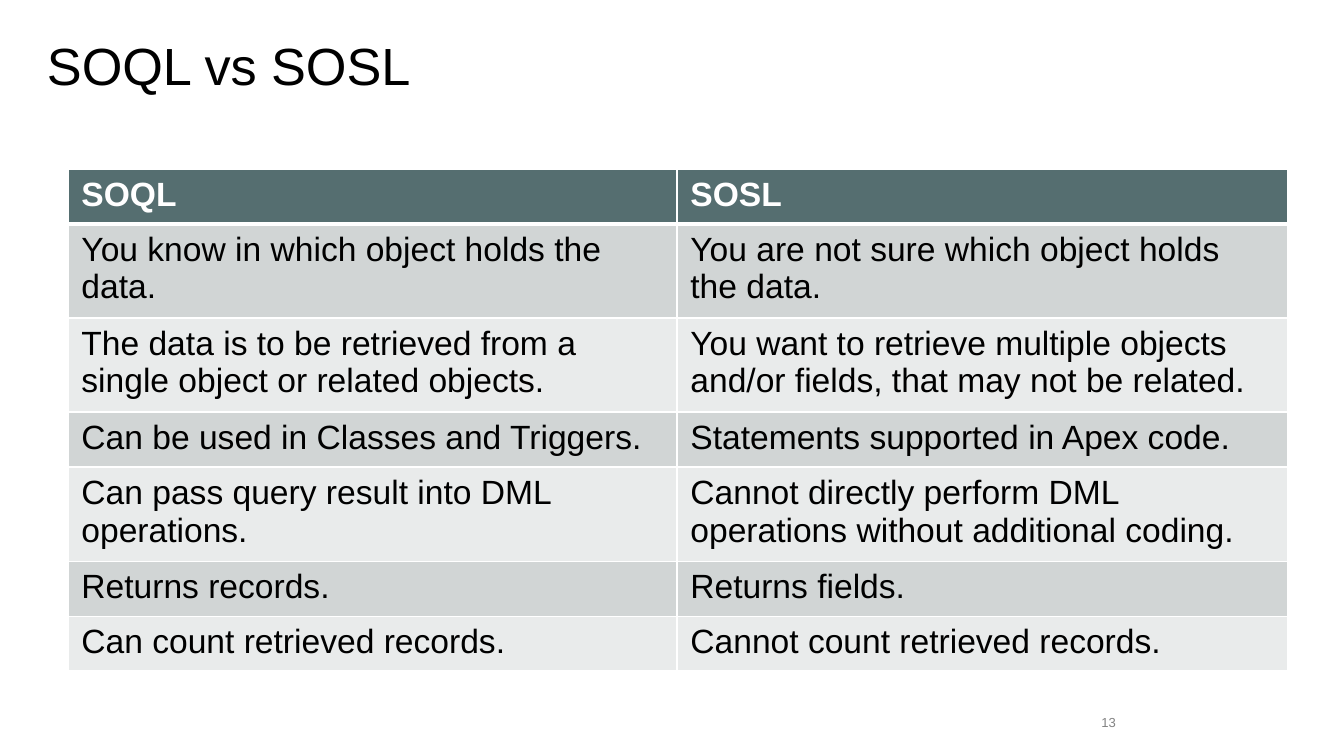
import pptx
import pptx.util
import pptx.dml.color
import pptx.enum.text
import pptx.oxml.ns
from dataclasses import dataclass
from lxml import etree

ANCHOR = pptx.enum.text.MSO_ANCHOR
ALIGN = pptx.enum.text.PP_ALIGN
SCALE = 914400 / 134.4  # EMU per px


def px(n):
    return pptx.util.Emu(round(n * SCALE))


@dataclass(frozen=True)
class Theme:
    font: str = "Arial"
    text: str = "000000"
    muted: str = "838383"
    white: str = "FFFFFF"
    header: str = "556E70"
    bands: tuple = ("D1D5D5", "E9EBEB")
    title_size: int = 28
    title_leading: int = 29
    body_size: int = 18
    number_size: int = 7
    rule: int = 1
    header_rule: int = 3


class Deck:
    def __init__(self, theme, width, height):
        self.theme = theme
        self.prs = pptx.Presentation()
        self.prs.slide_width, self.prs.slide_height = px(width), px(height)
        self.slide = self.prs.slides.add_slide(self.prs.slide_layouts[6])

    def style(self, p, size, color, bold=False):
        for r in p.runs:
            r.font.name = self.theme.font
            r.font.size = pptx.util.Pt(size)
            r.font.bold = bold
            r.font.color.rgb = pptx.dml.color.RGBColor.from_string(color)

    def text(self, text, box, size, color, inset=None, leading=None,
             anchor=ANCHOR.TOP, align=ALIGN.LEFT):
        tf = self.slide.shapes.add_textbox(*map(px, box)).text_frame
        tf.word_wrap = True
        tf.vertical_anchor = anchor
        if inset is not None:
            tf.margin_left = tf.margin_right = px(inset)
            tf.margin_top = tf.margin_bottom = px(inset)
        tf.text = text
        p = tf.paragraphs[0]
        p.alignment = align
        if leading:
            p.line_spacing = pptx.util.Pt(leading)
        self.style(p, size, color)

    def border(self, cell, side, width):
        pr = cell._tc.get_or_add_tcPr()
        ns = pptx.oxml.ns.qn
        line = etree.Element(ns("a:ln" + side), w=str(pptx.util.Pt(width)))
        fill = etree.SubElement(line, ns("a:solidFill"))
        etree.SubElement(fill, ns("a:srgbClr"), val=self.theme.white)
        # Borders come before the fill, in the order L, R, T, B
        pr.insert("LRTB".index(side), line)

    def cell(self, cell, text, row):
        t = self.theme
        head = row == 0
        cell.text = text
        self.style(cell.text_frame.paragraphs[0], t.body_size,
                   t.white if head else t.text, bold=head)
        cell.fill.solid()
        color = t.header if head else t.bands[(row - 1) % 2]
        cell.fill.fore_color.rgb = pptx.dml.color.RGBColor.from_string(color)
        heavy = {(0, "B"), (1, "T")}
        for side in "LRTB":
            self.border(cell, side, t.header_rule if (row, side) in heavy else t.rule)

    def table(self, rows, left, top, widths, row_height):
        frame = self.slide.shapes.add_table(
            len(rows), len(widths), px(left), px(top),
            px(sum(widths)), px(row_height * len(rows)))
        table = frame.table
        for col, width in zip(table.columns, widths):
            col.width = px(width)
        for i, row in enumerate(rows):
            table.rows[i].height = px(row_height)
            for j, text in enumerate(row):
                self.cell(table.cell(i, j), text, i)


ROWS = [
    ("SOQL", "SOSL"),
    ("You know in which object holds the data.",
     "You are not sure which object holds the data."),
    ("The data is to be retrieved from a single object or related objects.",
     "You want to retrieve multiple objects and/or fields, that may not be related."),
    ("Can be used in Classes and Triggers.", "Statements supported in Apex code."),
    ("Can pass query result into DML operations.",
     "Cannot directly perform DML operations without additional coding."),
    ("Returns records.", "Returns fields."),
    ("Can count retrieved records.", "Cannot count retrieved records."),
]


def main():
    theme = Theme()
    deck = Deck(theme, 1344, 756)

    # Slide number
    deck.text("13", (1082, 707, 47, 30), theme.number_size, theme.muted,
              anchor=ANCHOR.MIDDLE, align=ALIGN.RIGHT)

    # Comparison table
    deck.table(ROWS, left=68, top=169, widths=(609, 611), row_height=55)

    # Title
    deck.text("SOQL vs SOSL", (47, 42, 1167, 124), theme.title_size, theme.text,
              inset=0, leading=theme.title_leading)

    deck.prs.save("out.pptx")


if __name__ == "__main__":
    main()
